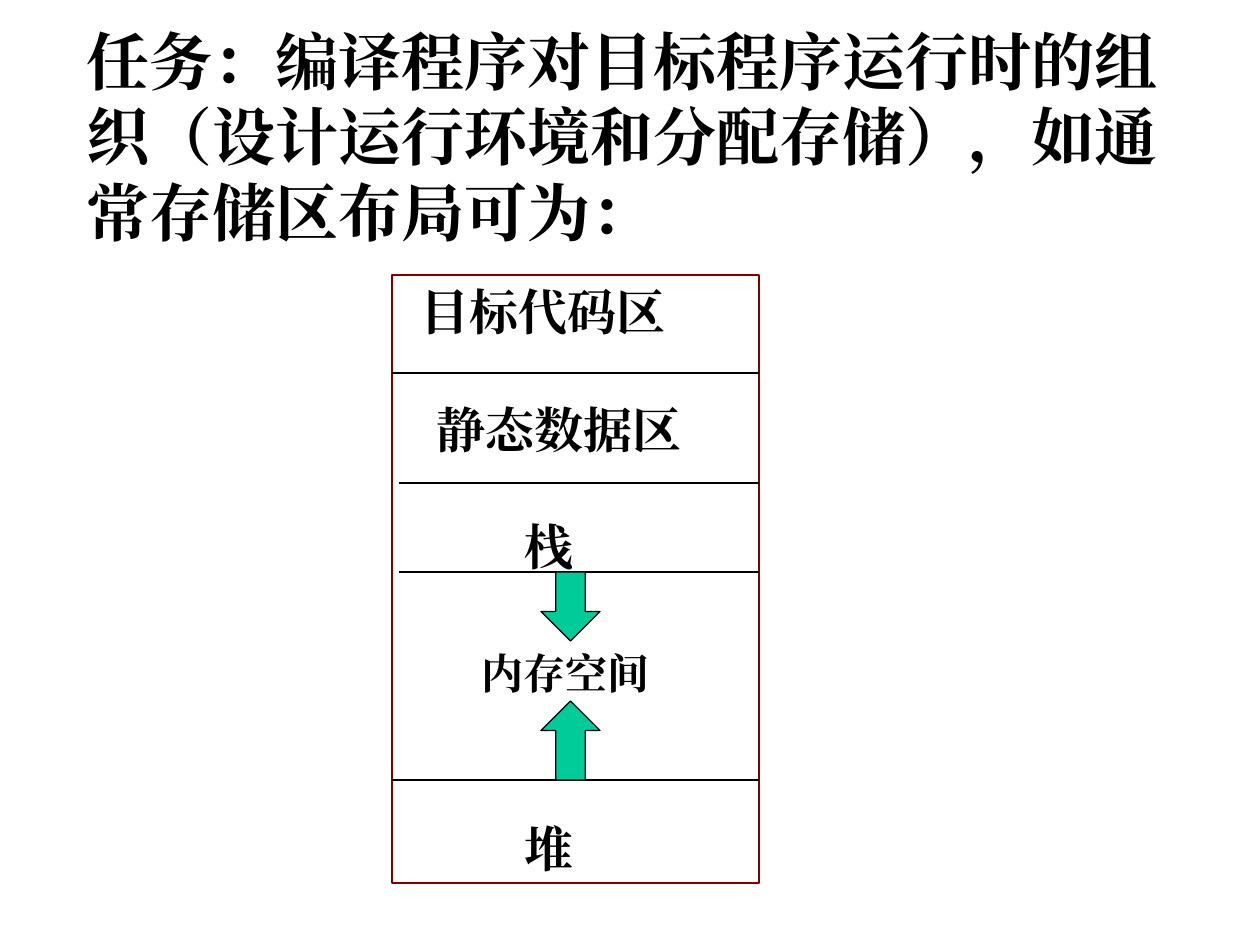
from dataclasses import dataclass

from lxml import etree
from pptx import Presentation
from pptx.dml.color import RGBColor
from pptx.enum.shapes import MSO_CONNECTOR, MSO_SHAPE
from pptx.enum.text import MSO_ANCHOR, MSO_AUTO_SIZE, PP_ALIGN
from pptx.oxml.ns import qn
from pptx.util import Emu, Inches, Pt

RECTANGLE = MSO_SHAPE.RECTANGLE
DOWN_ARROW = MSO_SHAPE.DOWN_ARROW
UP_ARROW = MSO_SHAPE.UP_ARROW
STRAIGHT = MSO_CONNECTOR.STRAIGHT
TOP = MSO_ANCHOR.TOP
LEFT = PP_ALIGN.LEFT
NO_AUTOFIT = MSO_AUTO_SIZE.NONE


@dataclass(frozen=True)
class Theme:
    font: str = "Times New Roman"
    ink: RGBColor = RGBColor(0x00, 0x00, 0x00)
    frame: RGBColor = RGBColor(0x80, 0x00, 0x00)
    arrow: RGBColor = RGBColor(0x00, 0xCC, 0x99)
    task_size: int = 36
    region_size: int = 28
    space_size: int = 24
    line_width: float = 0.75
    leading: float = 1.2


THEME = Theme()
SCALE = Inches(1) // 126

TASK = "任务：编译程序对目标程序运行时的组织（设计运行环境和分配存储），如通常存储区布局可为："
TASK_BOX = (25, 16, 1176, 278)
TASK_INDENT = 49

MEMORY_BOX = (392, 275, 367, 608)
REGIONS = [
    ("目标代码区", 16, 312),
    ("静态数据区", 32, 430),
    ("栈", 120, 547),
    ("堆", 120, 849),
]
DIVIDERS = [(392, 373), (399, 483), (399, 572), (392, 780)]

SPACE_LABEL = "内存空间"
SPACE_BOX = (441, 641, 258, 63)
SPACE_INDENT = 28

ARROWS = [
    (DOWN_ARROW, (541, 572, 59, 69)),
    (UP_ARROW, (541, 701, 59, 79)),
]


def px(value):
    return Emu(round(value * SCALE))


def place(box):
    return [px(value) for value in box]


def prepare_frame(shape):
    frame = shape.text_frame
    frame.word_wrap = True
    frame.auto_size = NO_AUTOFIT
    frame.vertical_anchor = TOP
    return frame


def write(paragraph, text, size, indent, before=0):
    properties = paragraph._p.get_or_add_pPr()
    properties.set("marL", str(px(indent)))
    properties.set("indent", "0")
    etree.SubElement(properties, qn("a:buNone"))
    paragraph.alignment = LEFT
    paragraph.line_spacing = Pt(size * THEME.leading)
    paragraph.space_before = before
    paragraph.space_after = Pt(0)
    run = paragraph.add_run()
    run.text = text
    run.font.name = THEME.font
    run.font.size = Pt(size)
    run.font.bold = True
    run.font.color.rgb = THEME.ink
    east_asian = etree.SubElement(run._r.get_or_add_rPr(), qn("a:ea"))
    east_asian.set("typeface", THEME.font)


def outline(shape, color):
    shape.line.color.rgb = color
    shape.line.width = Pt(THEME.line_width)


def add_task(slide):
    title = slide.shapes.title
    title.element.getparent().remove(title.element)
    body = slide.placeholders[1]
    body.left, body.top, body.width, body.height = place(TASK_BOX)
    paragraph = prepare_frame(body).paragraphs[0]
    paragraph.level = 1
    write(paragraph, TASK, THEME.task_size, TASK_INDENT, Pt(2))


def add_memory(slide):
    memory = slide.shapes.add_shape(RECTANGLE, *place(MEMORY_BOX))
    memory.shadow.inherit = False
    memory.fill.background()
    outline(memory, THEME.frame)
    frame = prepare_frame(memory)
    line_height = Pt(THEME.region_size * THEME.leading)
    previous = None
    for text, indent, center in REGIONS:
        if previous is None:
            write(frame.paragraphs[0], text, THEME.region_size, indent)
        else:
            gap = Emu(px(center - previous) - line_height)
            write(frame.add_paragraph(), text, THEME.region_size, indent, gap)
        previous = center


def add_dividers(slide):
    right = MEMORY_BOX[0] + MEMORY_BOX[2]
    for left, y in DIVIDERS:
        divider = slide.shapes.add_connector(STRAIGHT, *place((left, y, right, y)))
        outline(divider, THEME.ink)
        etree.SubElement(divider.element.spPr, qn("a:effectLst"))


def add_space_label(slide):
    label = slide.shapes.add_textbox(*place(SPACE_BOX))
    paragraph = prepare_frame(label).paragraphs[0]
    write(paragraph, SPACE_LABEL, THEME.space_size, SPACE_INDENT)


def add_arrows(slide):
    for kind, box in ARROWS:
        arrow = slide.shapes.add_shape(kind, *place(box))
        arrow.shadow.inherit = False
        arrow.fill.solid()
        arrow.fill.fore_color.rgb = THEME.arrow
        outline(arrow, THEME.ink)


def main():
    presentation = Presentation()
    presentation.slide_width = Inches(10)
    presentation.slide_height = Inches(7.5)
    slide = presentation.slides.add_slide(presentation.slide_layouts[1])
    add_task(slide)
    add_memory(slide)
    add_dividers(slide)
    add_space_label(slide)
    add_arrows(slide)
    presentation.save("out.pptx")


if __name__ == "__main__":
    main()
